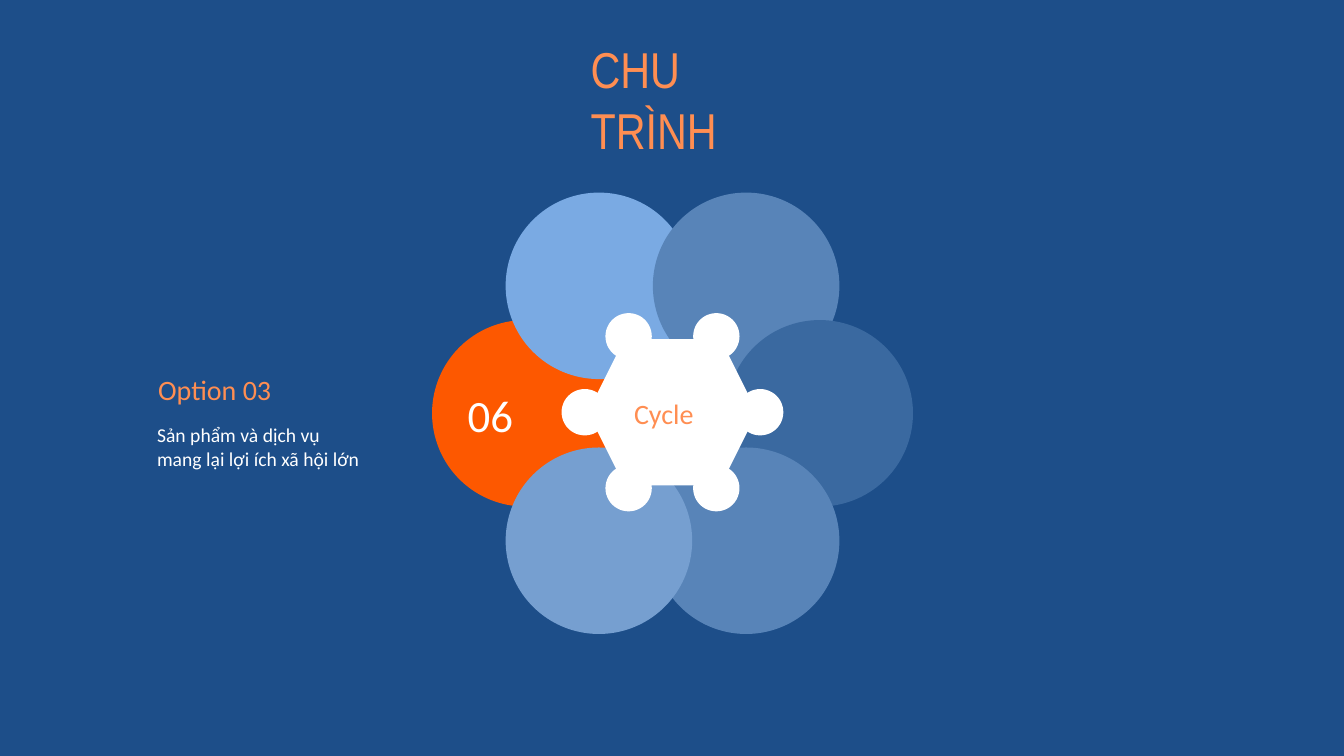
from dataclasses import dataclass
from math import cos, radians, sin

from pptx import Presentation
from pptx.dml.color import RGBColor
from pptx.enum.shapes import MSO_SHAPE
from pptx.util import Inches, Pt

ELLIPSE = MSO_SHAPE.OVAL
HEXAGON = MSO_SHAPE.HEXAGON


@dataclass(frozen=True)
class Theme:
    background: str = "1D4E89"
    white: str = "FFFFFF"
    accent: str = "FF8E52"
    petals: tuple = ("FD5800", "7AAAE3", "5884B8", "3A69A0", "5884B8", "769FD0")
    title_font: str = "Arial Narrow"
    body_font: str = "Calibri"
    title_size: int = 36
    number_size: int = 32
    heading_size: int = 20
    body_size: int = 14


def write_text(frame, text, *, size, color, font):
    """Put each line of text in its own paragraph."""
    frame.word_wrap = True
    for index, line in enumerate(text.split("\n")):
        paragraph = frame.paragraphs[0] if index == 0 else frame.add_paragraph()
        run = paragraph.add_run()
        run.text = line
        run.font.size = Pt(size)
        run.font.name = font
        run.font.color.rgb = RGBColor.from_string(color)


class SlideBuilder:
    def __init__(self, slide, theme):
        self.slide = slide
        self.theme = theme
        fill = slide.background.fill
        fill.solid()
        fill.fore_color.rgb = RGBColor.from_string(theme.background)

    def shape(self, kind, center_x, center_y, width, height, color):
        shape = self.slide.shapes.add_shape(
            kind, Inches(center_x - width / 2), Inches(center_y - height / 2),
            Inches(width), Inches(height))
        shape.shadow.inherit = False
        shape.fill.solid()
        shape.fill.fore_color.rgb = RGBColor.from_string(color)
        shape.line.fill.background()

    def ring(self, center_x, center_y, radius, diameter, colors):
        """Space circles evenly, clockwise from the left."""
        for index, color in enumerate(colors):
            angle = radians(180 + index * 360 / len(colors))
            self.shape(ELLIPSE, center_x + radius * cos(angle),
                       center_y + radius * sin(angle), diameter, diameter, color)

    def text(self, text, left, top, width, height, *, size, color, font=None):
        box = self.slide.shapes.add_textbox(
            Inches(left), Inches(top), Inches(width), Inches(height))
        write_text(box.text_frame, text, size=size, color=color,
                   font=font or self.theme.body_font)


def main():
    presentation = Presentation()
    presentation.slide_width = Inches(13.33)
    presentation.slide_height = Inches(7.5)
    theme = Theme()
    cycle = SlideBuilder(
        presentation.slides.add_slide(presentation.slide_layouts[6]), theme)

    middle_x, middle_y = 6.67, 4.09
    cycle.ring(middle_x, middle_y + 0.01, 1.46, 1.85, theme.petals)
    cycle.shape(HEXAGON, middle_x, middle_y, 1.68, 1.45, theme.white)
    cycle.ring(middle_x, middle_y, 0.87, 0.46, [theme.white] * 6)

    cycle.text("CHU TRÌNH", 5.76, 0.33, 1.8, 0.71, size=theme.title_size,
               color=theme.accent, font=theme.title_font)
    cycle.text("Option 03", 1.47, 3.65, 1.62, 0.44,
               size=theme.heading_size, color=theme.accent)
    cycle.text("Sản phẩm và dịch vụ\nmang lại lợi ích xã hội lớn",
               1.46, 4.15, 2.93, 0.57, size=theme.body_size, color=theme.white)
    cycle.text("06", 4.54, 3.8, 0.76, 0.64,
               size=theme.number_size, color=theme.white)
    cycle.text("Cycle", 6.19, 3.88, 0.97, 0.44,
               size=theme.heading_size, color=theme.accent)

    presentation.save("out.pptx")


if __name__ == "__main__":
    main()
